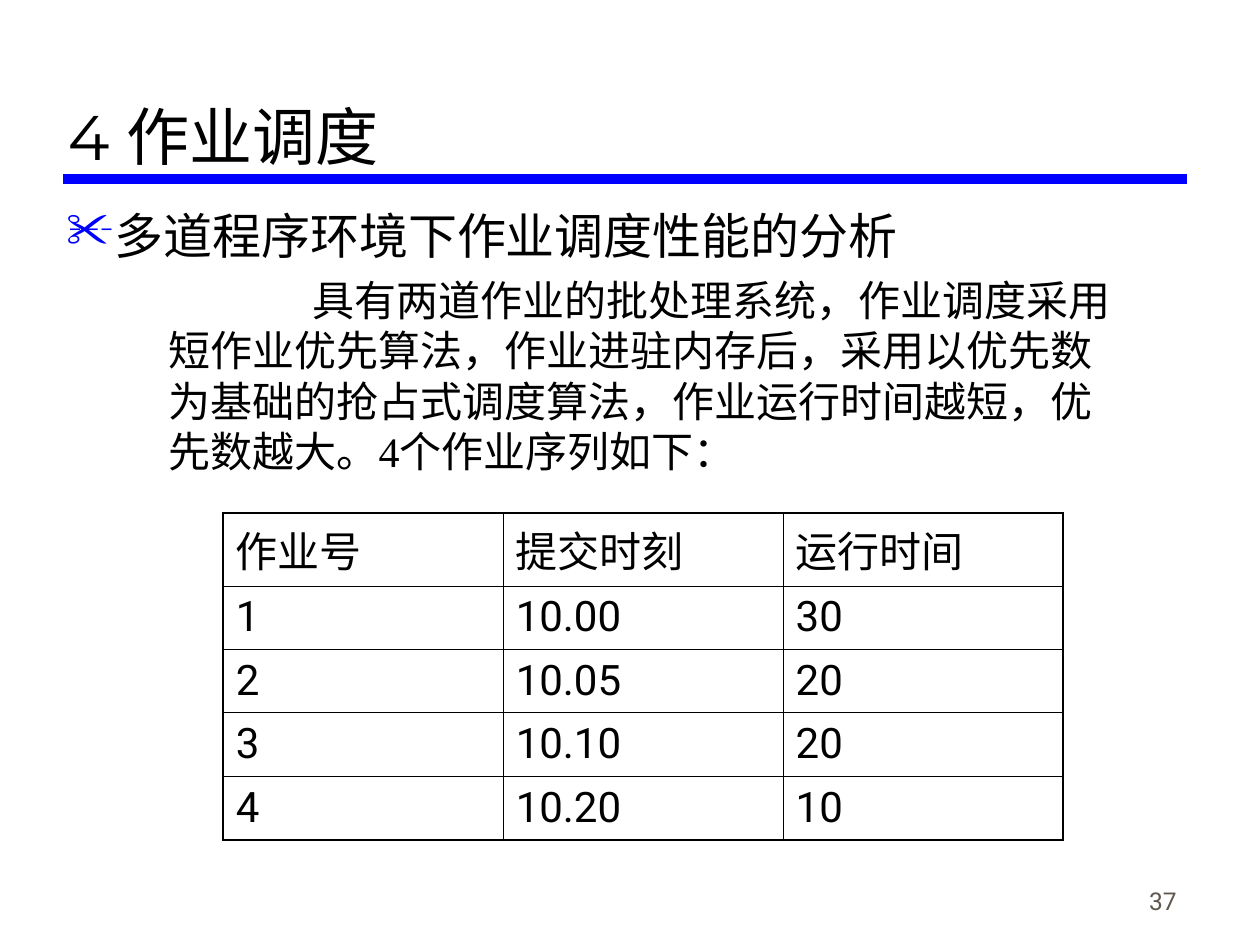
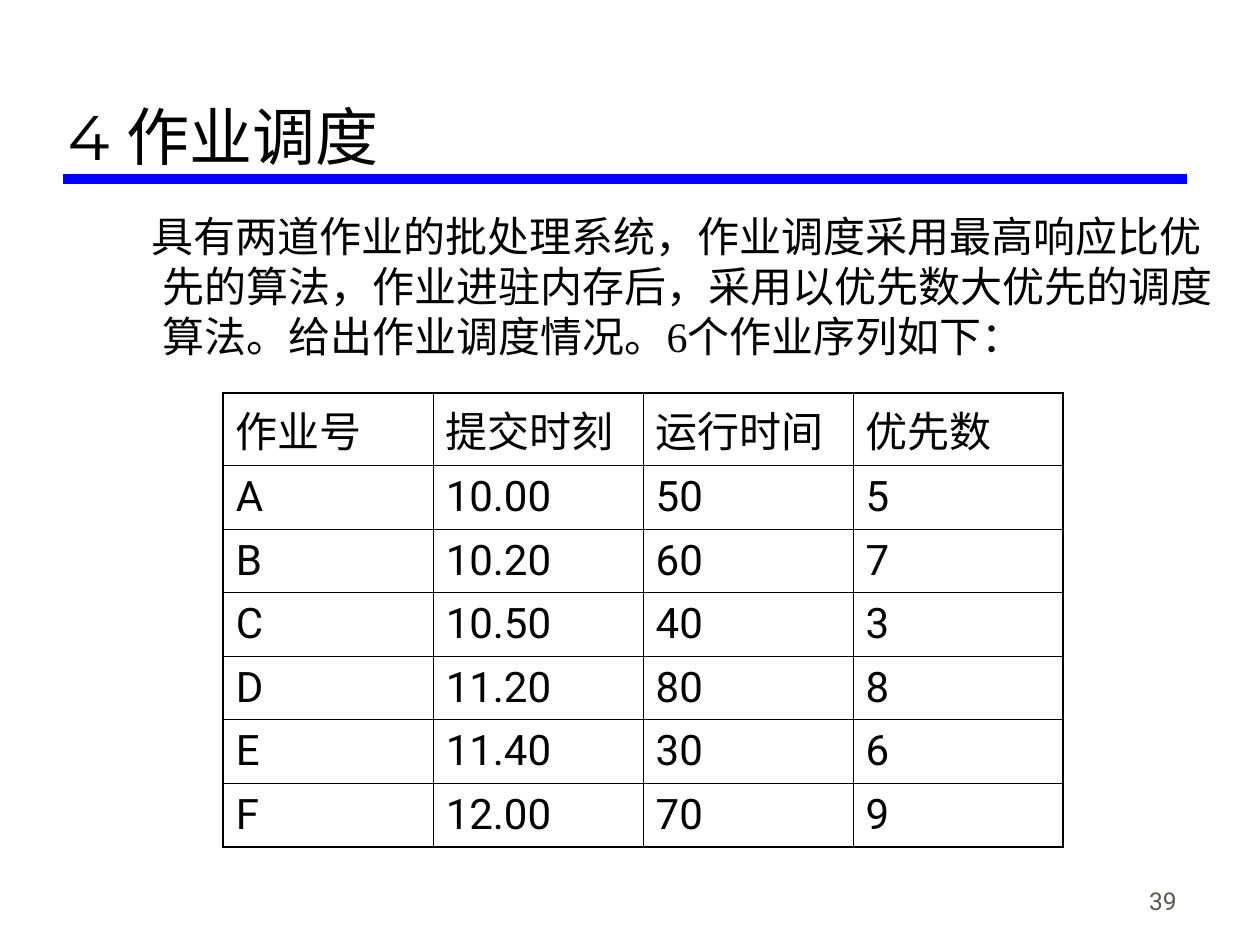
from lxml import etree
from pptx import Presentation
from pptx.dml.color import RGBColor
from pptx.enum.shapes import MSO_CONNECTOR
from pptx.enum.text import MSO_ANCHOR, PP_ALIGN
from pptx.oxml.ns import qn
from pptx.util import Cm, Pt

LINE = MSO_CONNECTOR.STRAIGHT
TOP, MID, LOW = MSO_ANCHOR.TOP, MSO_ANCHOR.MIDDLE, MSO_ANCHOR.BOTTOM
LEFT, RIGHT = PP_ALIGN.LEFT, PP_ALIGN.RIGHT

BLACK = RGBColor(0x00, 0x00, 0x00)
BLUE = RGBColor(0x00, 0x00, 0xFF)
GREY = RGBColor(0x5E, 0x57, 0x4E)

HEAD = "Montserrat"
SANS = "Roboto"
SERIF = "Times New Roman"

THICK, THIN = Pt(1.08), Pt(0.45)
HEAD_ROW, ROW = 1.47, 1.28
GRID_LEFT, GRID_WIDTH = 4.5, 16.93

JOBS = [
    ("作业号", "提交时刻", "运行时间"),
    ("1", "10.00", "30"),
    ("2", "10.05", "20"),
    ("3", "10.10", "20"),
    ("4", "10.20", "10"),
]
RANKED = [
    ("作业号", "提交时刻", "运行时间", "优先数"),
    ("A", "10.00", "50", "5"),
    ("B", "10.20", "60", "7"),
    ("C", "10.50", "40", "3"),
    ("D", "11.20", "80", "8"),
    ("E", "11.40", "30", "6"),
    ("F", "12.00", "70", "9"),
]


def style(para, face, size, color=BLACK):
    for run in para.runs:
        run.font.name = face
        run.font.size = Pt(size)
        run.font.color.rgb = color


def add_box(slide, left, top, width, height, anchor=TOP):
    box = slide.shapes.add_textbox(Cm(left), Cm(top), Cm(width), Cm(height))
    frame = box.text_frame
    frame.word_wrap = True
    frame.vertical_anchor = anchor
    return frame


def add_label(slide, place, text, face, size, color=BLACK, align=LEFT):
    para = add_box(slide, *place, anchor=LOW).paragraphs[0]
    para.text = text
    para.alignment = align
    style(para, face, size, color)


def add_rule(slide):
    rule = slide.shapes.add_connector(LINE, Cm(1.27), Cm(3.61), Cm(23.93), Cm(3.61))
    rule.line.color.rgb = BLUE
    rule.line.width = Pt(6)
    etree.SubElement(rule._element.spPr, qn("a:effectLst"))


def indent(para, margin, first):
    props = para._p.get_or_add_pPr()
    props.set("marL", str(Cm(margin)))
    props.set("indent", str(Cm(first)))
    return props


def add_point(para, text):
    para.text = text
    props = indent(para, 0.97, -0.97)
    tint = etree.SubElement(props, qn("a:buClr"))
    etree.SubElement(tint, qn("a:srgbClr"), val=str(BLUE))
    etree.SubElement(props, qn("a:buChar"), char="✂")
    style(para, SERIF, 28)


def add_prose(para, text, first):
    para.text = text
    indent(para, 2.06, first)
    style(para, SERIF, 24)


def add_edge(cell, side, width):
    props = cell._tc.get_or_add_tcPr()
    edge = etree.SubElement(props, qn("a:ln" + side), w=str(width))
    fill = etree.SubElement(edge, qn("a:solidFill"))
    etree.SubElement(fill, qn("a:srgbClr"), val=str(BLACK))


def add_grid(slide, top, data):
    rows, cols = len(data), len(data[0])
    height = HEAD_ROW + ROW * (rows - 1)
    grid = slide.shapes.add_table(
        rows, cols, Cm(GRID_LEFT), Cm(top), Cm(GRID_WIDTH), Cm(height)
    ).table
    grid.first_row = grid.horz_banding = False
    for r, line in enumerate(data):
        grid.rows[r].height = Cm(ROW if r else HEAD_ROW)
        for c, text in enumerate(line):
            cell = grid.cell(r, c)
            cell.text = text
            cell.vertical_anchor = MID
            style(cell.text_frame.paragraphs[0], SANS, 24)
            outer = {"L": c == 0, "R": c == cols - 1, "T": r == 0, "B": r == rows - 1}
            for side, edge in outer.items():
                add_edge(cell, side, THICK if edge else THIN)
            cell.fill.background()


def add_page(deck, number):
    slide = deck.slides.add_slide(deck.slide_layouts[6])
    add_rule(slide)
    add_label(slide, (18.69, 17.3, 5.28, 1.27), number, SANS, 14, GREY, RIGHT)
    add_label(slide, (1.12, 0.43, 22.78, 3.18), "4 作业调度", HEAD, 36)
    return slide


def main():
    deck = Presentation()
    deck.slide_width, deck.slide_height = Cm(25.4), Cm(19.05)

    slide = add_page(deck, "37")
    body = add_box(slide, 1.09, 4.01, 21.59, 6.15)
    add_point(body.paragraphs[0], "多道程序环境下作业调度性能的分析")
    para = body.add_paragraph()
    add_prose(
        para,
        "具有两道作业的批处理系统，作业调度采用短作业优先算法，作业进驻内存后，"
        "采用以优先数为基础的抢占式调度算法，作业运行时间越短，优先数越大。"
        "4个作业序列如下：",
        2.9,
    )
    para.space_before = Pt(6)
    add_grid(slide, 10.34, JOBS)

    slide = add_page(deck, "39")
    body = add_box(slide, 0.97, 4.11, 24, 4.22)
    add_prose(
        body.paragraphs[0],
        "具有两道作业的批处理系统，作业调度采用最高响应比优先的算法，"
        "作业进驻内存后，采用以优先数大优先的调度算法。给出作业调度情况。"
        "6个作业序列如下：",
        -0.23,
    )
    add_grid(slide, 7.92, RANKED)

    deck.save("out.pptx")


if __name__ == "__main__":
    main()
